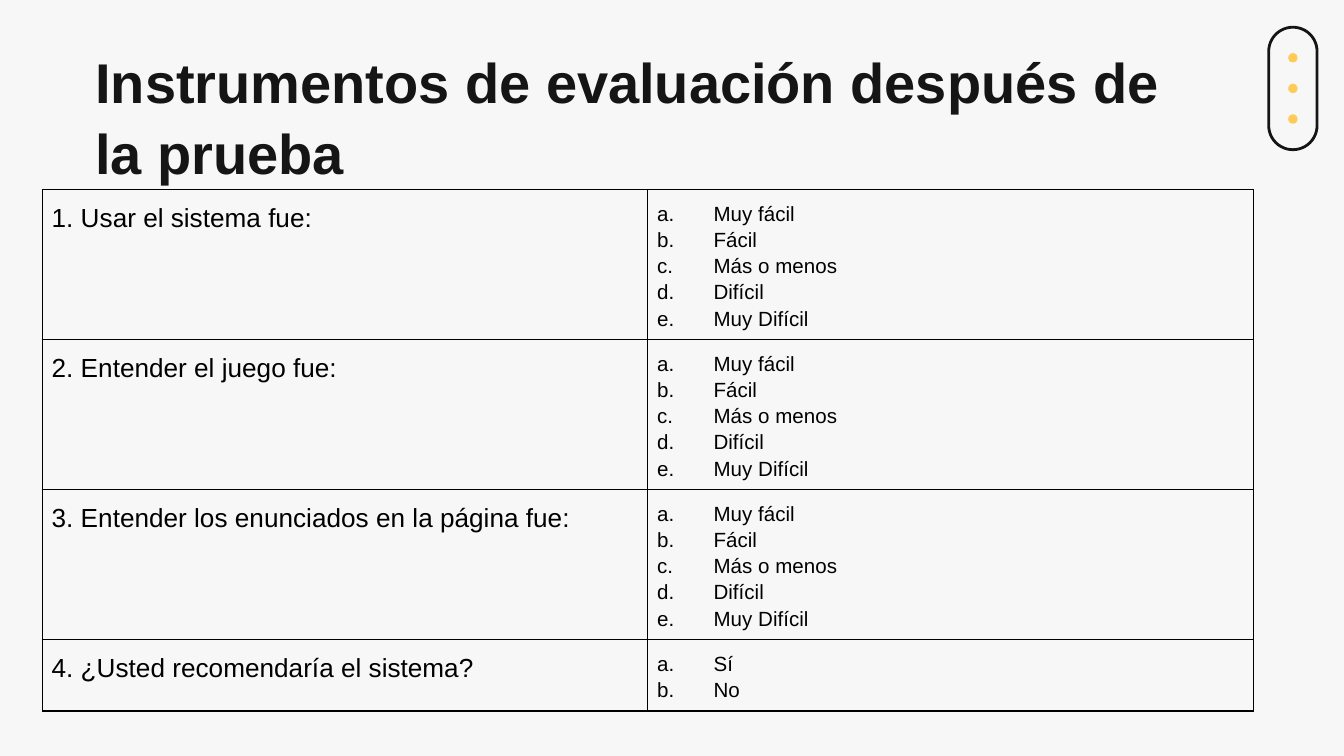
from dataclasses import dataclass

from lxml.etree import SubElement
from pptx import Presentation
from pptx.dml.color import RGBColor
from pptx.enum.shapes import MSO_SHAPE as Shape
from pptx.enum.text import MSO_ANCHOR as Anchor, MSO_AUTO_SIZE as AutoSize, PP_ALIGN as Align
from pptx.oxml.ns import qn
from pptx.util import Inches, Pt

WIDTH = Inches(10)
HEIGHT = WIDTH * 9 // 16
FONT = "Arial"
PAPER, INK, BLACK, YELLOW = "F7F7F7", "151515", "000000", "FFCA56"
SCALE = ["Muy fácil", "Fácil", "Más o menos", "Difícil", "Muy Difícil"]


@dataclass
class Question:
    text: str
    options: list[str]
    height: float  # percent of the slide's height


@dataclass
class Area:
    """A rectangle in percent of the slide's width and height."""
    left: float
    top: float
    width: float
    height: float

    def box(self) -> tuple[int, int, int, int]:
        return across(self.left), down(self.top), across(self.width), down(self.height)


QUESTIONS = [
    Question("1. Usar el sistema fue:", SCALE, 19.82),
    Question("2. Entender el juego fue:", SCALE, 19.82),
    Question("3. Entender los enunciados en la página fue:", SCALE, 19.82),
    Question("4. ¿Usted recomendaría el sistema?", ["Sí", "No"], 9.44),
]
TITLE = Area(6.1, 4.1, 84.3, 11.2)
TABLE = Area(3.15, 25.1, 90.1, sum(question.height for question in QUESTIONS))
PILL = Area(94.4, 3.6, 3.6, 16.2)
DOT = 0.7  # percent of the slide's width


def across(percent: float) -> int:
    return round(WIDTH * percent / 100)


def down(percent: float) -> int:
    return round(HEIGHT * percent / 100)


def color(value: str) -> RGBColor:
    return RGBColor.from_string(value)


def format_para(para, size: float, value: str, bold: bool = False) -> None:
    para.alignment = Align.LEFT
    for span in para.runs:
        span.font.name = FONT
        span.font.size = Pt(size)
        span.font.bold = bold
        span.font.color.rgb = color(value)


def add_title(page, text: str) -> None:
    title = page.shapes.title
    title.left, title.top, title.width, title.height = TITLE.box()
    frame = title.text_frame
    frame.text = text
    frame.word_wrap = True
    frame.auto_size = AutoSize.NONE
    frame.vertical_anchor = Anchor.TOP
    frame.margin_left = frame.margin_right = Inches(0.1)
    frame.margin_top = frame.margin_bottom = Inches(0.1)
    para = frame.paragraphs[0]
    para.line_spacing = 1.05
    format_para(para, 30, INK, bold=True)


def add_pill(page) -> None:
    group = page.shapes.add_group_shape()
    left, top, width, height = PILL.box()
    pill = group.shapes.add_shape(Shape.ROUNDED_RECTANGLE, left, top, width, height)
    pill.adjustments[0] = 0.5
    pill.shadow.inherit = False
    pill.fill.background()
    pill.line.color.rgb = color(INK)
    pill.line.width = Pt(1.5)

    # Three dots at the quarters of the pill
    size = across(DOT)
    for quarter in (1, 2, 3):
        dot = group.shapes.add_shape(
            Shape.OVAL, left + (width - size) // 2,
            top + height * quarter // 4 - size // 2, size, size)
        dot.shadow.inherit = False
        dot.fill.solid()
        dot.fill.fore_color.rgb = color(YELLOW)
        dot.line.fill.background()


def format_cell(cell) -> None:
    cell.margin_left = cell.margin_right = Inches(0.07)
    cell.margin_top = cell.margin_bottom = Inches(0.07)
    cell.vertical_anchor = Anchor.TOP
    properties = cell._tc.get_or_add_tcPr()
    for side in ("lnL", "lnR", "lnT", "lnB"):
        line = SubElement(properties, qn(f"a:{side}"), w=str(Pt(0.75)))
        fill = SubElement(line, qn("a:solidFill"))
        SubElement(fill, qn("a:srgbClr"), val=BLACK)
    cell.fill.background()


def fill_question(cell, text: str) -> None:
    format_cell(cell)
    cell.text_frame.text = text
    para = cell.text_frame.paragraphs[0]
    para.line_spacing = 1.15
    para.space_before = Pt(12)
    format_para(para, 14, BLACK)


def fill_options(cell, options: list[str]) -> None:
    format_cell(cell)
    indent = Inches(0.42)
    frame = cell.text_frame
    frame.text = "\n".join(f"{letter}.\t{option}" for letter, option in zip("abcde", options))
    for para in frame.paragraphs:
        para.line_spacing = 1.15
        format_para(para, 11, BLACK)
        # Hanging indent: the tab leads to the left margin
        properties = para._p.get_or_add_pPr()
        properties.set("marL", str(indent))
        properties.set("indent", str(-indent))


def add_questions(page) -> None:
    table = page.shapes.add_table(len(QUESTIONS), 2, *TABLE.box()).table
    table.first_row = table.horz_banding = False
    for row, question in enumerate(QUESTIONS):
        table.rows[row].height = down(question.height)
        fill_question(table.cell(row, 0), question.text)
        fill_options(table.cell(row, 1), question.options)


def main() -> None:
    deck = Presentation()
    deck.slide_width, deck.slide_height = WIDTH, HEIGHT
    page = deck.slides.add_slide(deck.slide_layouts[5])
    page.background.fill.solid()
    page.background.fill.fore_color.rgb = color(PAPER)

    add_pill(page)
    add_title(page, "Instrumentos de evaluación después de la prueba")
    add_questions(page)
    deck.save("out.pptx")


if __name__ == "__main__":
    main()
